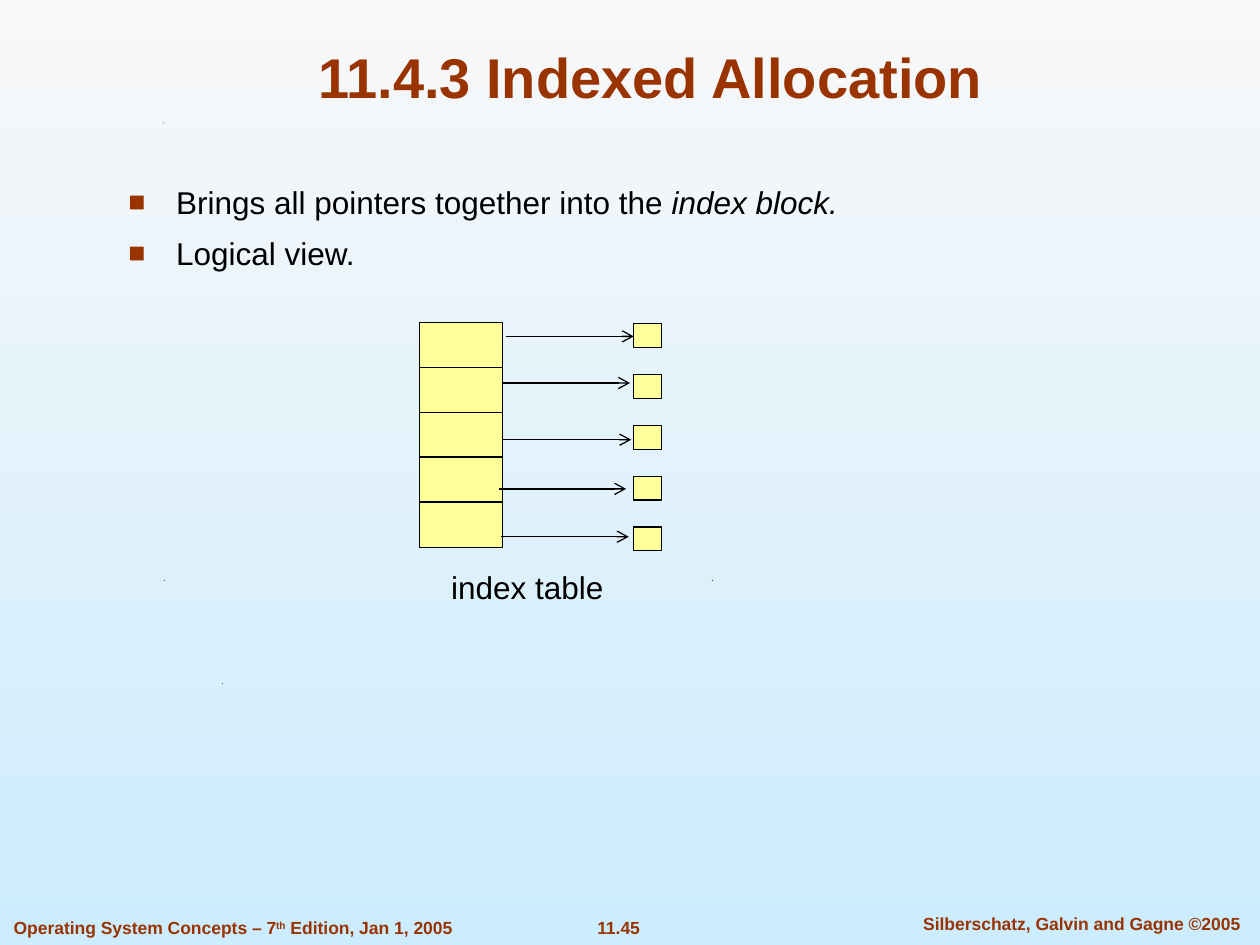
from typing import NamedTuple

from lxml import etree
from pptx import Presentation
from pptx.dml.color import RGBColor
from pptx.enum.shapes import MSO_CONNECTOR, MSO_SHAPE
from pptx.enum.text import MSO_ANCHOR, PP_ALIGN
from pptx.oxml.ns import qn
from pptx.util import Inches, Pt

RECT = MSO_SHAPE.RECTANGLE
STRAIGHT = MSO_CONNECTOR.STRAIGHT
LEFT, CENTER = PP_ALIGN.LEFT, PP_ALIGN.CENTER
TOP, MIDDLE, BOTTOM = MSO_ANCHOR.TOP, MSO_ANCHOR.MIDDLE, MSO_ANCHOR.BOTTOM

COLORS = {
    "sky_top": "F8F8F8",
    "sky_base": "CCECFF",
    "rust": "993300",
    "ink": "000000",
    "block": "FFFF99",
}
FONT = "Arial"
ROWS = 5


class Part(NamedTuple):
    text: str
    italic: bool = False
    raised: bool = False


class Label(NamedTuple):
    box: tuple[float, float, float, float]
    paras: list[list[Part]]
    size: float
    color: str
    bold: bool = False
    align: PP_ALIGN = LEFT
    anchor: MSO_ANCHOR = TOP
    bullet: bool = False


class Stack(NamedTuple):
    left: float
    top: float
    width: float
    height: float
    pitch: float


class Arrow(NamedTuple):
    start: float
    end: float
    y: float


LABELS = [
    Label((4.38, 7.23, 1.06, 0.27), [[Part("11.45")]], 10, "rust", True, CENTER),
    Label((7.1, 7.2, 2.97, 0.27), [[Part("Silberschatz, Galvin and Gagne ©2005")]],
          10, "rust", True, CENTER),
    Label((0.01, 7.23, 3.68, 0.27),
          [[Part("Operating System Concepts – 7"), Part("th", raised=True),
            Part(" Edition, Jan 1, 2005")]], 10, "rust", True),
    Label((0.75, 0.25, 8.83, 0.67), [[Part("11.4.3 Indexed Allocation")]],
          32, "rust", True, CENTER, BOTTOM),
    Label((0.92, 1.4, 8.04, 1.02),
          [[Part("Brings all pointers together into the "),
            Part("index block.", italic=True)],
           [Part("Logical view.")]], 18, "ink", bullet=True),
    Label((3.48, 4.46, 1.41, 0.4), [[Part("index table")]],
          18, "ink", align=CENTER, anchor=MIDDLE),
]
STACKS = [
    Stack(3.33, 2.56, 0.66, 0.36, 0.356),  # index table
    Stack(5.03, 2.57, 0.22, 0.19, 0.403),  # data blocks
]
ARROWS = [
    Arrow(4.02, 5.03, 2.67),
    Arrow(3.99, 5, 3.04),
    Arrow(3.99, 5.01, 3.49),
    Arrow(3.96, 4.97, 3.88),
    Arrow(3.98, 4.99, 4.26),
]
SPECKS = [(1.76, 5.42), (1.3, 4.6), (5.65, 4.6), (1.29, 0.97)]


def tint(name: str) -> RGBColor:
    return RGBColor.from_string(COLORS[name])


def add_bullet(para) -> None:
    props = para._p.get_or_add_pPr()
    props.set("marL", str(Inches(0.38)))
    props.set("indent", str(-Inches(0.38)))
    shade = etree.SubElement(props, qn("a:buClr"))
    etree.SubElement(shade, qn("a:srgbClr"), val=COLORS["rust"])
    etree.SubElement(props, qn("a:buSzPct"), val="90000")
    etree.SubElement(props, qn("a:buFont"), typeface=FONT)
    etree.SubElement(props, qn("a:buChar"), char="■")


def add_label(slide, label: Label) -> None:
    frame = slide.shapes.add_textbox(*map(Inches, label.box)).text_frame
    frame.word_wrap = True
    frame.vertical_anchor = label.anchor
    for i, parts in enumerate(label.paras):
        para = frame.add_paragraph() if i else frame.paragraphs[0]
        para.alignment = label.align
        if i:
            para.space_before = Pt(7.9)
        if label.bullet:
            add_bullet(para)
        font = para.font
        font.name, font.size, font.bold = FONT, Pt(label.size), label.bold
        font.color.rgb = tint(label.color)
        for part in parts:
            run = para.add_run()
            run.text = part.text
            if part.italic:
                run.font.italic = True
            if part.raised:
                run._r.get_or_add_rPr().set("baseline", "30000")


def add_stack(slide, stack: Stack) -> None:
    for row in range(ROWS):
        top = stack.top + row * stack.pitch
        cell = slide.shapes.add_shape(RECT, Inches(stack.left), Inches(top),
                                      Inches(stack.width), Inches(stack.height))
        cell.shadow.inherit = False
        cell.fill.solid()
        cell.fill.fore_color.rgb = tint("block")
        cell.line.color.rgb = tint("ink")
        cell.line.width = Pt(0.75)


def add_arrow(slide, arrow: Arrow) -> None:
    y = Inches(arrow.y)
    link = slide.shapes.add_connector(STRAIGHT, Inches(arrow.start), y,
                                      Inches(arrow.end), y)
    link.line.color.rgb = tint("ink")
    link.line.width = Pt(0.75)
    etree.SubElement(link.line._get_or_add_ln(), qn("a:tailEnd"), type="arrow")
    etree.SubElement(link._element.spPr, qn("a:effectLst"))


def add_speck(slide, x: float, y: float) -> None:
    size = 0.01
    pen = slide.shapes.build_freeform(Inches(x), Inches(y + size))
    pen.add_line_segments([(Inches(x + size), Inches(y)),
                           (Inches(x + size / 2), Inches(y + size))])
    speck = pen.convert_to_shape()
    speck.shadow.inherit = False
    speck.fill.solid()
    speck.fill.fore_color.rgb = tint("ink")
    speck.line.fill.background()


def paint_back(slide) -> None:
    fill = slide.background.fill
    fill.gradient()
    fill.gradient_angle = 270
    for stop, place, name in zip(fill.gradient_stops, (0, 1), ("sky_top", "sky_base")):
        stop.position = place
        stop.color.rgb = tint(name)


def main() -> None:
    deck = Presentation()
    deck.slide_width, deck.slide_height = Inches(10), Inches(7.5)
    slide = deck.slides.add_slide(deck.slide_layouts[6])
    paint_back(slide)

    # Small marks on the background
    for x, y in SPECKS:
        add_speck(slide, x, y)

    # Index table, data blocks and pointers
    for stack in STACKS:
        add_stack(slide, stack)
    for arrow in ARROWS:
        add_arrow(slide, arrow)

    # Title, body, caption and footer
    for label in LABELS:
        add_label(slide, label)

    deck.save("out.pptx")


if __name__ == "__main__":
    main()
